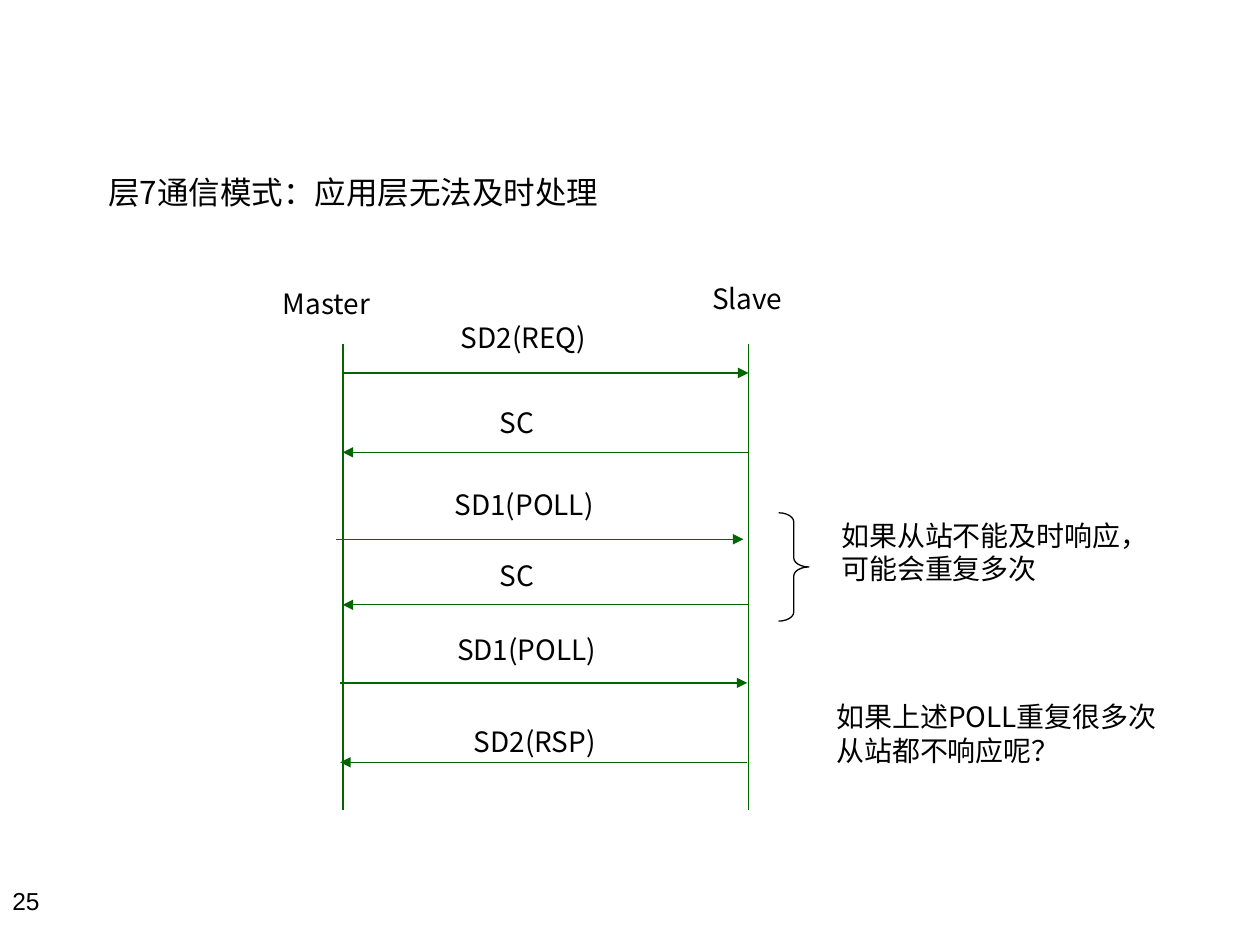
from lxml.etree import SubElement
from pptx import Presentation
from pptx.dml.color import RGBColor as Rgb
from pptx.enum.shapes import MSO_CONNECTOR as Link, MSO_SHAPE as Kind
from pptx.enum.text import MSO_ANCHOR as Anchor, MSO_AUTO_SIZE as Fit, PP_ALIGN as Align
from pptx.oxml.ns import qn
from pptx.util import Inches, Pt

HUE = {"ink": "000000", "line": "006600"}
CJK = "Noto Sans CJK SC"

deck = Presentation()
deck.slide_width, deck.slide_height = Inches(10), Inches(7.5)
cell = deck.slide_width // 100  # square grid: 100 columns by 75 rows
slide = deck.slides.add_slide(deck.slide_layouts[5])
shapes = slide.shapes


def write(box, place, lines, size=16, face=CJK, align=Align.LEFT, wrap=True, anchor=Anchor.MIDDLE):
    """Place a text box on the grid and fill it, one paragraph a line."""
    box.left, box.top, box.width, box.height = [int(n * cell) for n in place]
    frame = box.text_frame
    frame.auto_size, frame.word_wrap, frame.vertical_anchor = Fit.NONE, wrap, anchor
    for i, line in enumerate(lines):
        para = frame.add_paragraph() if i else frame.paragraphs[0]
        para.alignment = align
        run = para.add_run()
        run.text = line
        run.font.size, run.font.name = Pt(size), face
        run.font.color.rgb = Rgb.from_string(HUE["ink"])
        SubElement(run._r.get_or_add_rPr(), qn("a:ea"), typeface=face)


def draw(x1, y1, x2, y2, width, arrow=False):
    ends = [int(n * cell) for n in (x1, y1, x2, y2)]
    line = shapes.add_connector(Link.STRAIGHT, *ends)
    line.line.width = Pt(width)
    line.line.color.rgb = Rgb.from_string(HUE["line"])
    if arrow:
        SubElement(line.line._get_or_add_ln(), qn("a:tailEnd"), type="triangle")
    SubElement(line._element.spPr, qn("a:effectLst"))


write(shapes.title, (7.1, 13.2, 41.9, 4), ["层7通信模式：应用层无法及时处理"],
      size=18, align=Align.CENTER)

# Lifelines: name, column, middle and top of the label
for name, x, mid, top in [("Master", 27.2, 25.9, 22.2), ("Slave", 59.4, 59.3, 21.8)]:
    draw(x, 27.3, x, 64.3, 1)
    write(shapes.add_textbox(0, 0, 0, 0), (mid - 5, top, 10, 3.7), [name],
          align=Align.CENTER, wrap=False)

# Messages: text, middle and top of the label, then start, end and row of the arrow
calls = [
    ("SD2(REQ)", 41.55, 24.9, 27.2, 59.4, 29.6),
    ("SC", 41.05, 31.7, 59.4, 27.2, 35.9),
    ("SD1(POLL)", 41.6, 38.2, 26.7, 59, 42.8),
    ("SC", 41.05, 43.8, 59.4, 27.2, 48),
    ("SD1(POLL)", 41.8, 49.7, 27, 59.3, 54.2),
    ("SD2(RSP)", 42.45, 57, 59.3, 27, 60.5),
]
for name, mid, top, start, end, row in calls:
    draw(start, row, end, row, 0.75, arrow=True)
    write(shapes.add_textbox(0, 0, 0, 0), (mid - 6.5, top, 13, 3.7), [name],
          align=Align.CENTER, wrap=False)

brace = shapes.add_shape(Kind.RIGHT_BRACE, *[int(n * cell) for n in (61.8, 40.7, 2.4, 8.6)])
brace.adjustments[0] = 0.3
brace.fill.background()
brace.line.width = Pt(0.75)
brace.line.color.rgb = Rgb.from_string(HUE["ink"])
brace.shadow.inherit = False

write(shapes.add_textbox(0, 0, 0, 0), (65.8, 40.6, 26.4, 6.4),
      ["如果从站不能及时响应，", "可能会重复多次"])
write(shapes.add_textbox(0, 0, 0, 0), (65.4, 53.7, 27.4, 9),
      ["如果上述POLL重复很多次", "从站都不响应呢？"])
write(shapes.add_textbox(0, 0, 0, 0), (0, 69.8, 23.3, 5.2), ["25"],
      size=14, face="Arial", anchor=Anchor.TOP)

deck.save("out.pptx")
